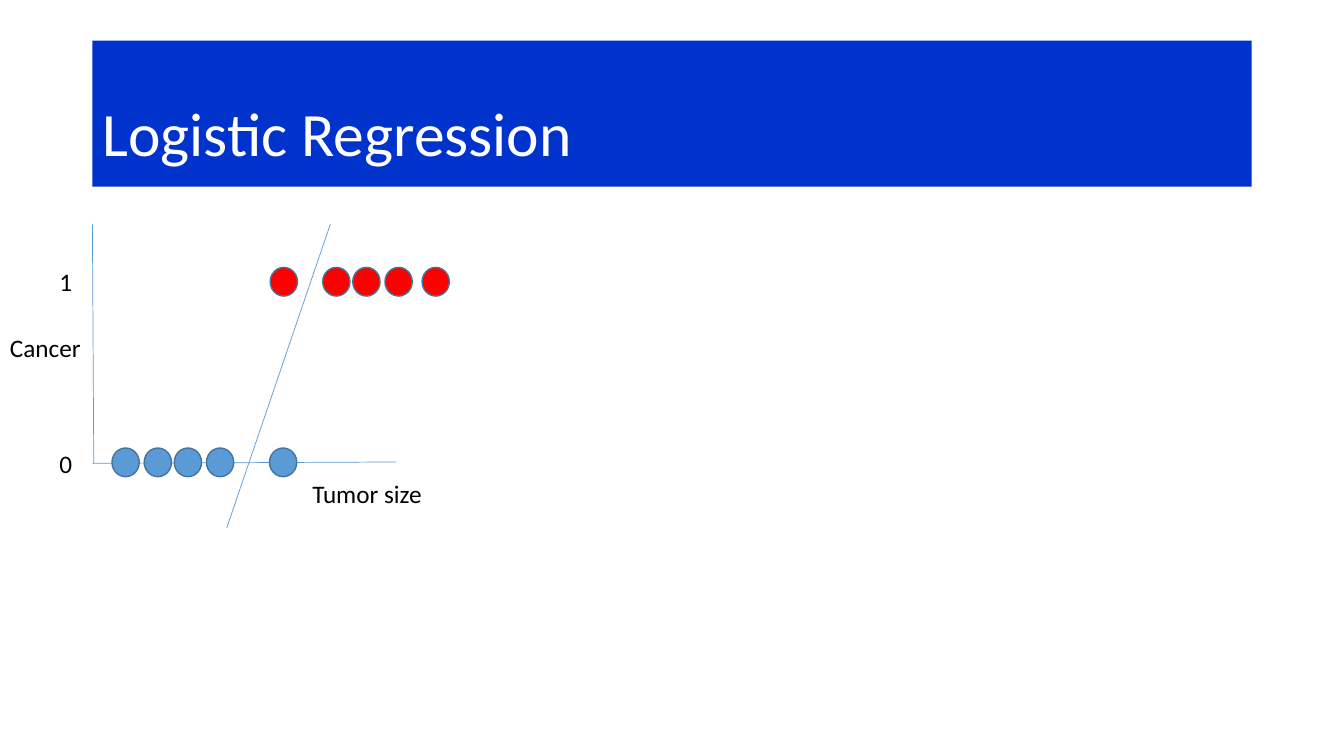
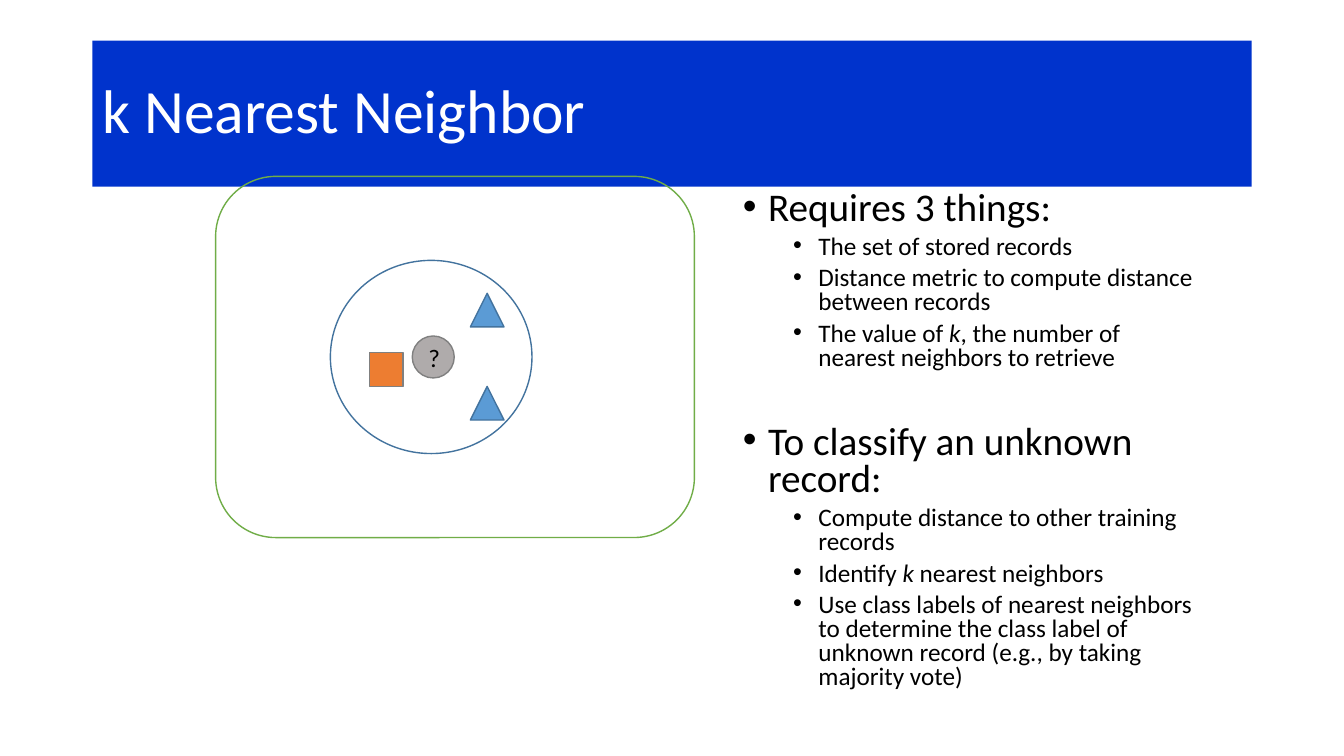
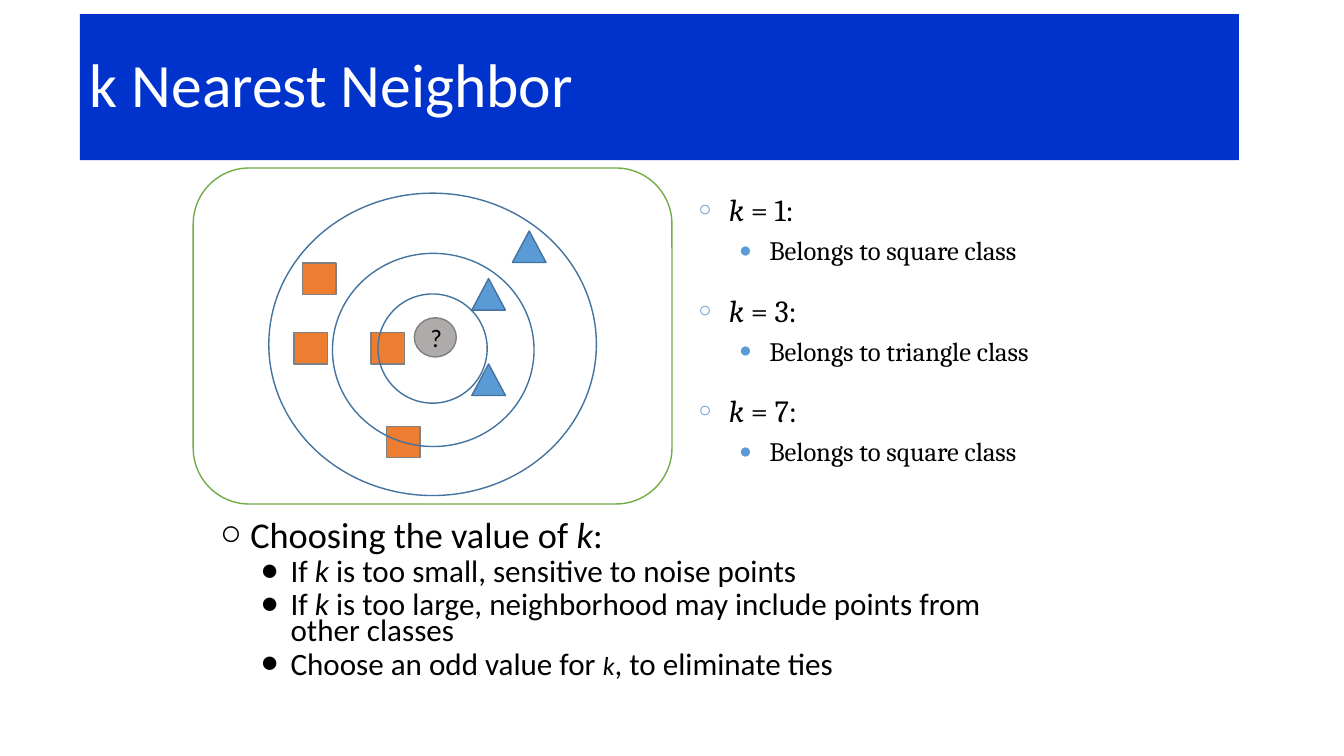
from dataclasses import dataclass
from lxml import etree
from pptx import Presentation
from pptx.dml.color import RGBColor
from pptx.enum.shapes import MSO_CONNECTOR, MSO_SHAPE
from pptx.enum.text import MSO_ANCHOR, MSO_AUTO_SIZE, PP_ALIGN
from pptx.oxml.ns import qn
from pptx.util import Pt

LINE = MSO_CONNECTOR.STRAIGHT
DOT = MSO_SHAPE.FLOWCHART_CONNECTOR
OVAL = MSO_SHAPE.OVAL
RECT = MSO_SHAPE.RECTANGLE
ROUND = MSO_SHAPE.ROUNDED_RECTANGLE
TRI = MSO_SHAPE.ISOSCELES_TRIANGLE
LEFT, CENTER = PP_ALIGN.LEFT, PP_ALIGN.CENTER
MIDDLE, TOP = MSO_ANCHOR.MIDDLE, MSO_ANCHOR.TOP
NO_FIT = MSO_AUTO_SIZE.NONE
TITLE_ONLY, TITLE_BODY = 5, 1

BAND = RGBColor(0x00, 0x33, 0xCC)
WHITE = RGBColor(0xFF, 0xFF, 0xFF)
BLACK = RGBColor(0x00, 0x00, 0x00)
BLUE = RGBColor(0x5B, 0x9B, 0xD5)
NAVY = RGBColor(0x43, 0x73, 0x9E)
RED = RGBColor(0xFF, 0x00, 0x00)
GREEN = RGBColor(0x70, 0xAD, 0x47)
ORANGE = RGBColor(0xED, 0x7D, 0x31)
SILVER = RGBColor(0xAF, 0xAB, 0xAB)
GRAY = RGBColor(0x80, 0x80, 0x80)


@dataclass
class Level:
    """Look of one list level; lengths in points."""
    size: float
    left: float
    hang: float
    mark: str
    before: float
    pitch: float = 1.0
    font: str = "Calibri"
    tint: RGBColor = BLACK
    scale: int = 100


NEEDS = (Level(28, 18, 18, "•", 10, 0.8), Level(18, 54, 18, "•", 5, 0.8))
CHOICE = (Level(25.9, 21.6, 21.6, "○", 10, 0.7),
          Level(22.2, 50.4, 21.6, "●", 5, 0.7))
CASE = (Level(22, 21.6, 21.6, "○", 6, 1.0, "Cambria", BLUE, 70),
        Level(19, 50.4, 21.6, "●", 4.5, 1.0, "Cambria", BLUE, 80))


class Deck:
    def __init__(self):
        self.prs = Presentation()
        self.prs.slide_width, self.prs.slide_height = Pt(960), Pt(540)
        self.slide = None

    def place(self, shape, x, y, w, h):
        shape.left, shape.top = Pt(x), Pt(y)
        shape.width, shape.height = Pt(w), Pt(h)

    def run(self, para, text, size, color=BLACK, font="Calibri", slant=False):
        run = para.add_run()
        run.text = text
        run.font.size, run.font.name = Pt(size), font
        run.font.color.rgb = color
        run.font.italic = slant

    def start(self, layout, title, x=66, y=29, pitch=0.9):
        """Open a slide with its title band."""
        layouts = self.prs.slide_layouts
        self.slide = self.prs.slides.add_slide(layouts[layout])
        band = self.slide.shapes.title
        self.place(band, x, y, 828, 104.4)
        band.fill.solid()
        band.fill.fore_color.rgb = BAND
        frame = band.text_frame
        frame.auto_size, frame.vertical_anchor = NO_FIT, MIDDLE
        para = frame.paragraphs[0]
        para.alignment, para.line_spacing = LEFT, pitch
        self.run(para, title, 44, WHITE)

    def shape(self, kind, x, y, w, h, fill=None, edge=NAVY, text=""):
        shape = self.slide.shapes.add_shape(kind, Pt(x), Pt(y), Pt(w), Pt(h))
        shape.shadow.inherit = False
        if fill is None:
            shape.fill.background()
        else:
            shape.fill.solid()
            shape.fill.fore_color.rgb = fill
        shape.line.color.rgb, shape.line.width = edge, Pt(1)
        if text:
            para = shape.text_frame.paragraphs[0]
            para.alignment = CENTER
            self.run(para, text, 18)

    def line(self, x1, y1, x2, y2):
        line = self.slide.shapes.add_connector(
            LINE, Pt(x1), Pt(y1), Pt(x2), Pt(y2))
        line.line.color.rgb, line.line.width = BLUE, Pt(0.5)
        etree.SubElement(line._element.spPr, qn("a:effectLst"))

    def box(self, x, y, w, h, wrap=True):
        box = self.slide.shapes.add_textbox(Pt(x), Pt(y), Pt(w), Pt(h))
        box.text_frame.word_wrap = wrap
        return box.text_frame

    def label(self, text, x, y, w, wrap=True):
        frame = self.box(x, y, w, 29, wrap)
        self.run(frame.paragraphs[0], text, 18)

    def body(self, x, y, w, h):
        body = self.slide.placeholders[1]
        self.place(body, x, y, w, h)
        frame = body.text_frame
        frame.auto_size, frame.vertical_anchor = NO_FIT, TOP
        return frame

    def bullet(self, para, look):
        props = para._p.get_or_add_pPr()
        props.set("marL", str(int(Pt(look.left))))
        props.set("indent", str(-int(Pt(look.hang))))
        tint = etree.SubElement(props, qn("a:buClr"))
        etree.SubElement(tint, qn("a:srgbClr"), val=str(look.tint))
        etree.SubElement(props, qn("a:buSzPct"), val=str(look.scale * 1000))
        etree.SubElement(props, qn("a:buFont"), typeface="Arial")
        etree.SubElement(props, qn("a:buChar"), char=look.mark)

    def list(self, frame, looks, items, gap=0, small=None):
        """Fill with (level, text) items; *text* is italic.

        gap is extra space above later top-level items, and small
        the size of italics in the last item.
        """
        for i, (depth, text) in enumerate(items):
            look = looks[depth]
            para = frame.add_paragraph() if i else frame.paragraphs[0]
            para.level, para.alignment = depth, LEFT
            para.line_spacing = look.pitch
            extra = gap if i and depth == 0 else 0
            para.space_before = Pt(look.before + extra)
            self.bullet(para, look)
            last = i == len(items) - 1
            for j, part in enumerate(text.split("*")):
                slant = j % 2 == 1
                size = small if small and last and slant else look.size
                if part:
                    self.run(para, part, size, BLACK, look.font, slant)


def logistic(deck):
    deck.start(TITLE_ONLY, "Logistic Regression", pitch=1.5)
    deck.line(66, 331, 283, 330)
    deck.line(67, 331, 66, 160)
    for fill, y, row in ((BLUE, 320, (80, 103, 124.5, 147.5, 192.5)),
                         (RED, 191, (193, 230.5, 252, 275, 301.5))):
        for x in row:
            deck.shape(DOT, x, y, 19.5, 20.5, fill)
    deck.line(162, 377, 236, 160)
    deck.label("0", 35.3, 317, 24, False)
    deck.label("1", 35.3, 186.5, 24, False)
    deck.label("Tumor size", 216, 338.4, 104)
    deck.label("Cancer", 0, 234, 104)


def nearest(deck):
    deck.start(TITLE_BODY, "k Nearest Neighbor")
    deck.list(deck.body(523.4, 133.2, 336, 384), NEEDS, (
        (0, "Requires 3 things:"),
        (1, "The set of stored records"),
        (1, "Distance metric to compute distance between records"),
        (1, "The value of *k*, the number of nearest neighbors to retrieve"),
        (0, "To classify an unknown record:"),
        (1, "Compute distance to other training records"),
        (1, "Identify *k* nearest neighbors"),
        (1, "Use class labels of nearest neighbors to determine the class "
            "label of unknown record (e.g., by taking majority vote)"),
    ), gap=28.4)
    deck.shape(ROUND, 154, 126, 342, 258, edge=GREEN)
    for y in (276, 209.5):
        deck.shape(TRI, 336, y, 24, 24, BLUE)
    deck.shape(RECT, 264, 252, 24, 24, ORANGE, GRAY)
    deck.shape(OVAL, 294.5, 240, 30, 30, SILVER, GRAY, "?")
    deck.shape(OVAL, 236, 186, 144, 138)


def choosing(deck):
    deck.start(TITLE_BODY, "k Nearest Neighbor", 57, 10)
    deck.list(deck.body(150, 371, 582, 126), CHOICE, (
        (0, "Choosing the value of *k*:"),
        (1, "If *k* is too small, sensitive to noise points"),
        (1, "If *k* is too large, neighborhood may include points "
            "from other classes"),
        (1, "Choose an odd value for *k*, to eliminate ties"),
    ), small=18.5)
    cases = ((1, "square"), (3, "triangle"), (7, "square"))
    for i, (count, name) in enumerate(cases):
        deck.list(deck.box(492, 132.5 + 72 * i, 306, 84), CASE, (
            (0, f"*k* = {count}:"), (1, f"Belongs to {name} class")))
    deck.shape(ROUND, 138, 120, 342, 240, edge=GREEN)
    for x, y in ((366, 165), (337, 260), (337, 199)):
        deck.shape(TRI, x, y, 24, 22.5, BLUE)
    for x, y in ((276, 304.5), (216, 188), (210, 237.5), (265, 237.5)):
        deck.shape(RECT, x, y, 24, 22.5, ORANGE, GRAY)
    deck.shape(OVAL, 296, 227, 30, 28, SILVER, GRAY, "?")
    for ring in ((192, 138, 234, 216), (237.5, 181, 144, 138),
                 (270, 210, 78, 78)):
        deck.shape(OVAL, *ring)


def main():
    deck = Deck()
    logistic(deck)
    nearest(deck)
    choosing(deck)
    deck.prs.save("out.pptx")


if __name__ == "__main__":
    main()
